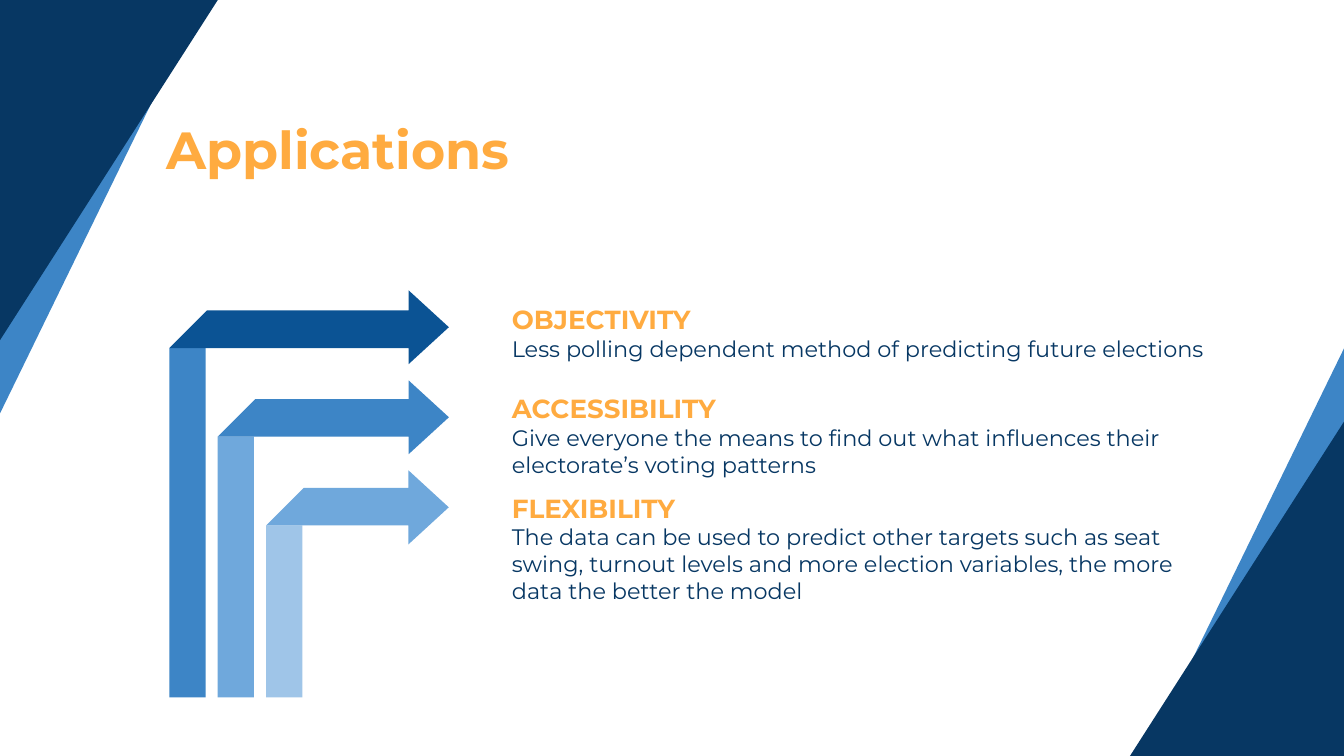
from pptx import Presentation
from pptx.dml.color import RGBColor
from pptx.enum.shapes import MSO_SHAPE
from pptx.util import Inches, Pt

RECTANGLE = MSO_SHAPE.RECTANGLE
WIDTH = 10
HEIGHT = WIDTH * 9 / 16
FONT = "Montserrat"
NAVY, ORANGE, BLUE, SKY = "073763", "FFAB40", "3D85C6", "6FA8DC"

TITLE = "Applications"
APPLICATIONS = [
    ("OBJECTIVITY", "Less polling dependent method of predicting future elections",
     (3.71, 2.16, 5.4, 0.55)),
    ("ACCESSIBILITY", "Give everyone the means to find out what influences their "
     "electorate’s voting patterns", (3.71, 2.82, 5.21, 0.55)),
    ("FLEXIBILITY", "The data can be used to predict other targets such as seat swing, "
     "turnout levels and more election variables, the more data the better the model",
     (3.71, 3.56, 5.21, 0.58)),
]
ARROW_COLORS = [("0B5394", BLUE), (BLUE, SKY), (SKY, "9FC5E8")]
CORNERS = [
    (BLUE, [(1.54, -0.08), (-0.08, -0.13), (-0.06, 3.2)]),
    (NAVY, [(-0.05, 2.61), (-0.07, -0.04), (1.64, -0.03)]),
]
MIRROR_HEIGHT = 5.67

ARROW_LEFT, ARROW_TOP = 1.26, 2.16
COLUMN_STEP, HEAD_STEP, BAND_STEP = 0.36, 0.67, 0.66
BAND_TOP, BAND = 2.31, 0.28
NECK, TIP, HEAD = 3.04, 3.34, 0.55
STEM_WIDTH, STEM_BOTTOM = 0.27, 5.19


def color(value):
    return RGBColor.from_string(value)


def paint(shape, fill):
    shape.shadow.inherit = False
    shape.fill.solid()
    shape.fill.fore_color.rgb = color(fill)
    shape.line.fill.background()


def add_polygon(page, points, fill):
    start, *rest = [(Inches(x), Inches(y)) for x, y in points]
    builder = page.shapes.build_freeform(*start)
    builder.add_line_segments(rest, close=True)
    paint(builder.convert_to_shape(), fill)


def add_text(page, place, lines):
    box = page.shapes.add_textbox(*map(Inches, place))
    frame = box.text_frame
    frame.word_wrap = True
    frame.margin_left = frame.margin_right = Inches(0.1)
    frame.margin_top = frame.margin_bottom = Inches(0.1)
    for index, (text, size, fill, bold) in enumerate(lines):
        para = frame.add_paragraph() if index else frame.paragraphs[0]
        para.text = text
        para.font.name = FONT
        para.font.size = Pt(size)
        para.font.bold = bold
        para.font.color.rgb = color(fill)


def add_arrow(page, index, arrow_fill, stem_fill):
    left = ARROW_LEFT + index * COLUMN_STEP
    top = ARROW_TOP + index * HEAD_STEP
    band_top = BAND_TOP + index * BAND_STEP
    band_bottom = band_top + BAND
    stem = page.shapes.add_shape(
        RECTANGLE, Inches(left), Inches(band_bottom),
        Inches(STEM_WIDTH), Inches(STEM_BOTTOM - band_bottom))
    paint(stem, stem_fill)
    add_polygon(page, [
        (NECK, top), (NECK, band_top), (left + BAND, band_top), (left, band_bottom),
        (NECK, band_bottom), (NECK, top + HEAD), (TIP, top + HEAD / 2),
    ], arrow_fill)


deck = Presentation()
deck.slide_width, deck.slide_height = Inches(WIDTH), Inches(HEIGHT)
page = deck.slides.add_slide(deck.slide_layouts[6])

for fill, points in CORNERS:
    add_polygon(page, points, fill)
for fill, points in CORNERS:
    add_polygon(page, [(WIDTH - x, MIRROR_HEIGHT - y) for x, y in points], fill)

add_text(page, (1.14, 0.77, 7.98, 0.63), [(TITLE, 28, ORANGE, True)])
for heading, detail, place in APPLICATIONS:
    add_text(page, place, [(heading, 14, ORANGE, True), (detail, 12, NAVY, False)])
for index, fills in enumerate(ARROW_COLORS):
    add_arrow(page, index, *fills)

deck.save("out.pptx")
